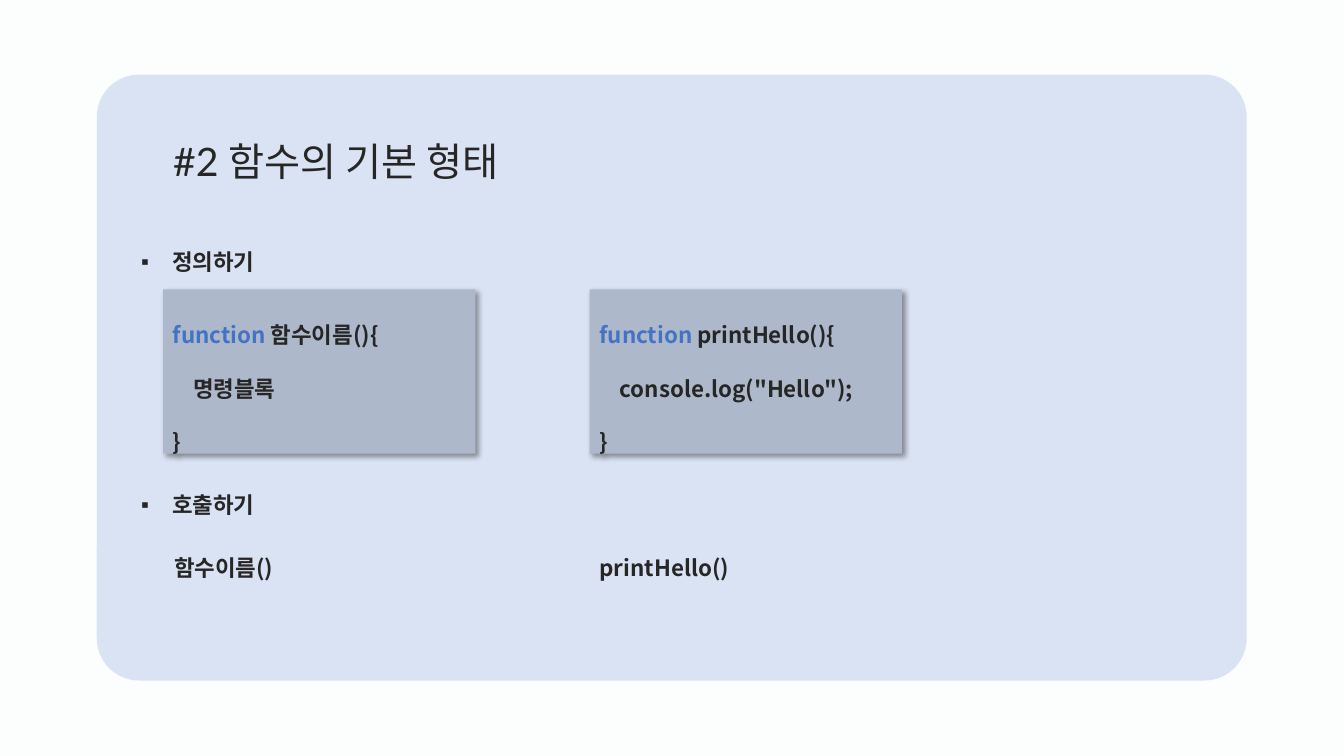
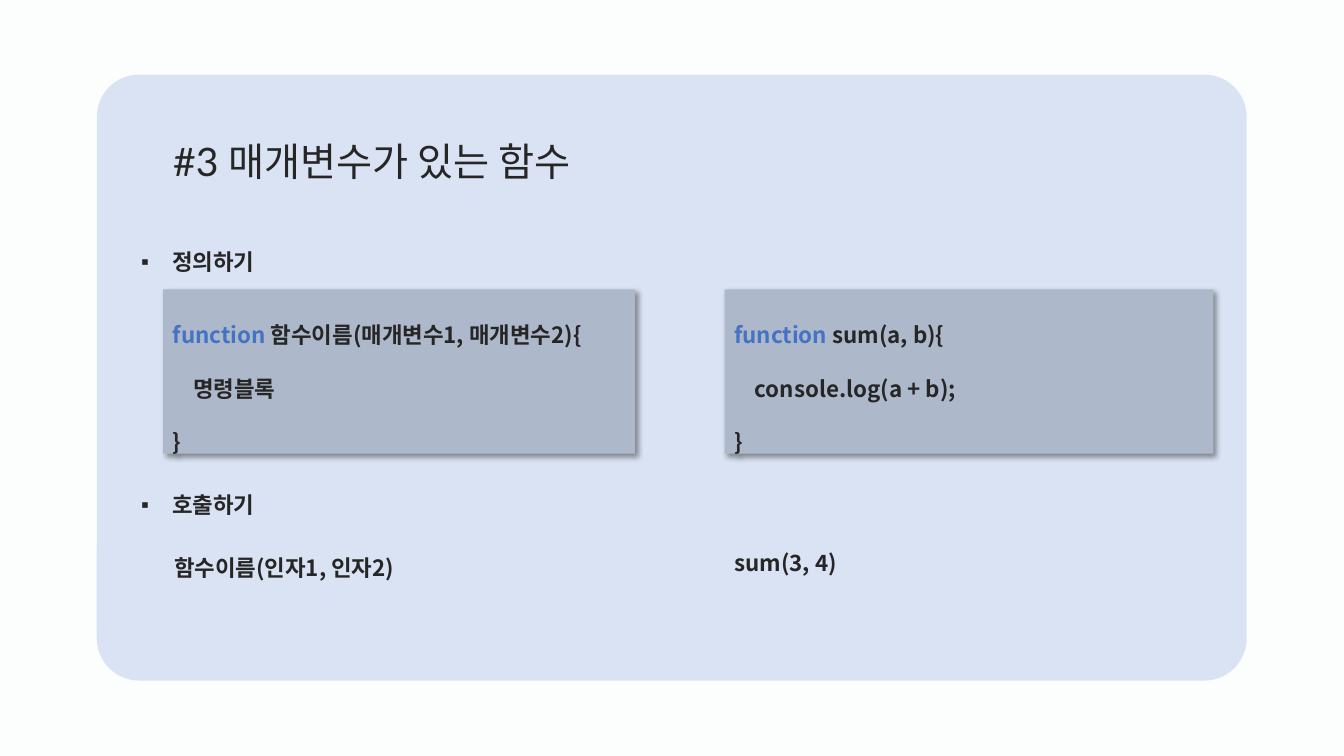
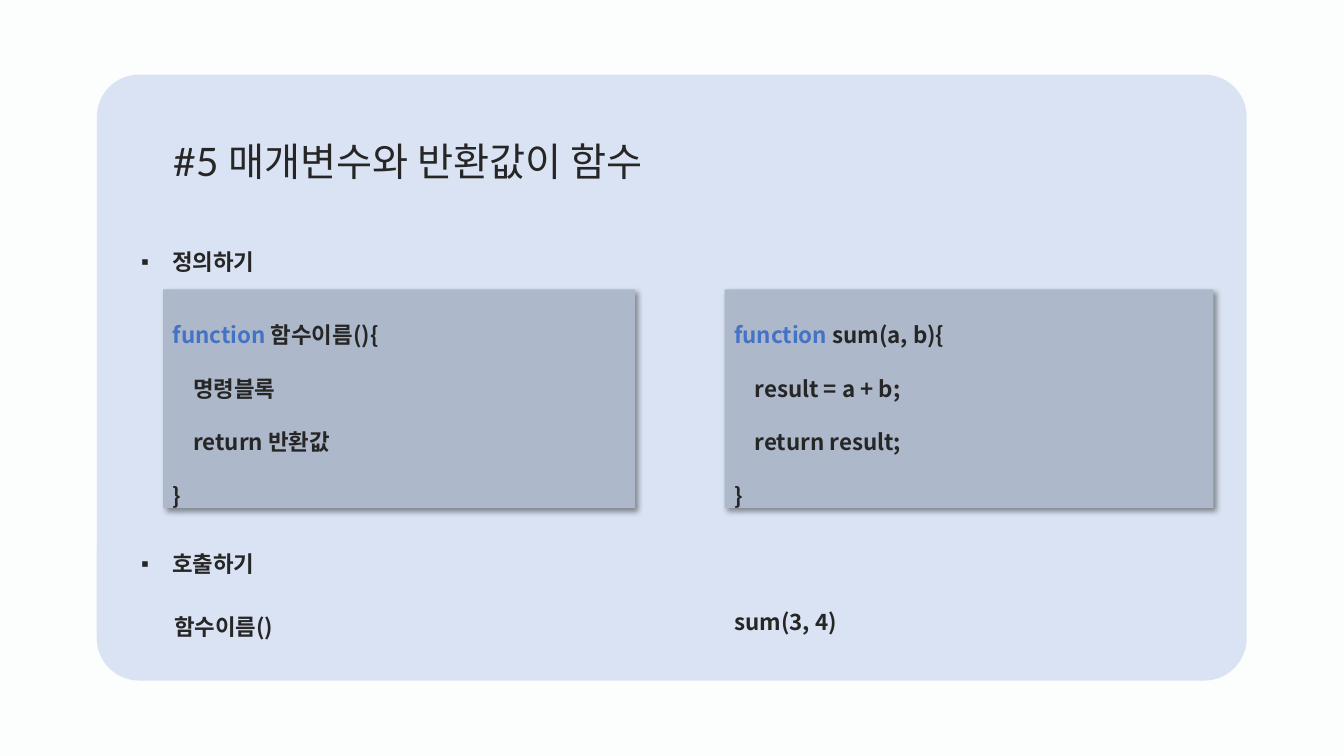
from lxml.etree import SubElement
from pptx import Presentation
from pptx.dml.color import RGBColor
from pptx.enum.shapes import MSO_SHAPE
from pptx.enum.text import MSO_ANCHOR, MSO_AUTO_SIZE, PP_ALIGN
from pptx.oxml.ns import qn
from pptx.util import Cm, Pt

BACKGROUND = "FCFDFD"
PANEL = "DAE3F3"
CODE_FILL = "ADB9CA"
INK = "262626"
KEYWORD_INK = "4472C4"
TITLE_FONT = "Lato"
TEXT_FONT = "Noto Sans CJK KR"
KEYWORD = "function"

SYNTAX_LEFT = 4.11
CODE_TOP = 7.29
LINE_HEIGHT = 1.37
HEADING_LEFT, HEADING_WIDTH, HEADING_HEIGHT = 3.3, 17.37, 1.4
CALL_WIDTH = 7.87
CALL_OFFSET = 1.58

TOPICS = [
    {
        "title": "#2 함수의 기본 형태",
        "syntax": ["function 함수이름(){", "    명령블록", "}"],
        "example": ["function printHello(){", '    console.log("Hello");', "}"],
        "calls": ("함수이름()", "printHello()"),
        "syntax_width": 7.87,
        "example_left": 14.86,
        "example_width": 7.87,
        "call_top": 11.58,
        "example_offset": CALL_OFFSET,
    },
    {
        "title": "#3 매개변수가 있는 함수",
        "syntax": ["function 함수이름(매개변수1, 매개변수2){", "    명령블록", "}"],
        "example": ["function sum(a, b){", "    console.log(a + b);", "}"],
        "calls": ("함수이름(인자1, 인자2)", "sum(3, 4)"),
        "syntax_width": 11.89,
        "example_left": 18.26,
        "example_width": 12.32,
        "call_top": 11.58,
        "example_offset": 1.46,
    },
    {
        "title": "#5 매개변수와 반환값이 함수",
        "syntax": ["function 함수이름(){", "    명령블록", "    return 반환값", "}"],
        "example": ["function sum(a, b){", "    result = a + b;", "    return result;", "}"],
        "calls": ("함수이름()", "sum(3, 4)"),
        "syntax_width": 11.89,
        "example_left": 18.26,
        "example_width": 12.32,
        "call_top": 13.06,
        "example_offset": 1.46,
    },
]


def paint(fill, color):
    fill.solid()
    fill.fore_color.rgb = RGBColor.from_string(color)


def place(shape, left, top, width, height):
    shape.left, shape.top = Cm(left), Cm(top)
    shape.width, shape.height = Cm(width), Cm(height)


def style_run(run, color=INK, size=16, bold=True, font=TEXT_FONT):
    run.font.size = Pt(size)
    run.font.bold = bold
    paint(run.font.fill, color)
    run.font.name = font
    SubElement(run._r.get_or_add_rPr(), qn("a:ea"), typeface=TEXT_FONT)


def prepare_frame(frame):
    frame.word_wrap = True
    frame.auto_size = MSO_AUTO_SIZE.SHAPE_TO_FIT_TEXT
    frame.vertical_anchor = MSO_ANCHOR.TOP


def space_lines(paragraph):
    paragraph.alignment = PP_ALIGN.LEFT
    paragraph.line_spacing = 2.0
    paragraph.space_before = Pt(0)


def add_panel(slide):
    panel = slide.shapes.add_shape(
        MSO_SHAPE.ROUNDED_RECTANGLE, Cm(2.44), Cm(1.88), Cm(28.98), Cm(15.27))
    panel.adjustments[0] = 0.07
    panel.shadow.inherit = False
    paint(panel.fill, PANEL)
    panel.line.fill.background()
    return panel


def prepare_layout(layout, panel):
    paint(layout.background.fill, BACKGROUND)
    layout.shapes.element.insert(2, panel.element)
    place(layout.placeholders[0], SYNTAX_LEFT, 3.33, 13.61, 1.45)


def fill_title(title, text):
    prepare_frame(title.text_frame)
    title.text_frame.text = text
    paragraph = title.text_frame.paragraphs[0]
    paragraph.alignment = PP_ALIGN.LEFT
    style_run(paragraph.runs[0], size=28, bold=False, font=TITLE_FONT)


def fill_heading(heading, text, top):
    place(heading, HEADING_LEFT, top, HEADING_WIDTH, HEADING_HEIGHT)
    prepare_frame(heading.text_frame)
    heading.text_frame.text = text
    paragraph = heading.text_frame.paragraphs[0]
    space_lines(paragraph)
    properties = paragraph._p.get_or_add_pPr()
    properties.set("marL", str(Cm(0.79)))
    properties.set("indent", str(-Cm(0.79)))
    SubElement(properties, qn("a:buChar"), char="▪")
    style_run(paragraph.runs[0])


def drop_shadow(shape):
    shape.shadow.inherit = False
    effects = shape.element.spPr.find(qn("a:effectLst"))
    shadow = SubElement(effects, qn("a:outerShdw"), blurRad=str(Pt(4)), dist=str(Pt(3)),
                        dir=str(45 * 60000), algn="tl", rotWithShape="0")
    color = SubElement(shadow, qn("a:srgbClr"), val="000000")
    SubElement(color, qn("a:alpha"), val="40000")


def write_code_line(paragraph, line):
    space_lines(paragraph)
    if line.startswith(KEYWORD):
        keyword, rest = paragraph.add_run(), paragraph.add_run()
        keyword.text, rest.text = KEYWORD, line[len(KEYWORD):]
        style_run(keyword, KEYWORD_INK)
        style_run(rest)
    else:
        paragraph.text = line
        style_run(paragraph.runs[0])


def add_code(slide, lines, left, width):
    code = slide.shapes.add_shape(
        MSO_SHAPE.RECTANGLE, Cm(left), Cm(CODE_TOP), Cm(width), Cm(LINE_HEIGHT * len(lines) + 0.03))
    paint(code.fill, CODE_FILL)
    code.line.fill.background()
    drop_shadow(code)
    frame = code.text_frame
    prepare_frame(frame)
    for number, line in enumerate(lines):
        write_code_line(frame.add_paragraph() if number else frame.paragraphs[0], line)


def add_call(slide, text, left, top):
    call = slide.shapes.add_textbox(Cm(left), Cm(top), Cm(CALL_WIDTH), Cm(HEADING_HEIGHT))
    prepare_frame(call.text_frame)
    call.text_frame.text = text
    paragraph = call.text_frame.paragraphs[0]
    space_lines(paragraph)
    style_run(paragraph.runs[0])


def fill_topic(slide, topic):
    title, definition, calling = slide.placeholders
    call_top, example_left = topic["call_top"], topic["example_left"]
    fill_title(title, topic["title"])
    fill_heading(definition, "정의하기", 5.46)
    add_code(slide, topic["syntax"], SYNTAX_LEFT, topic["syntax_width"])
    add_code(slide, topic["example"], example_left, topic["example_width"])
    fill_heading(calling, "호출하기", call_top)
    syntax_call, example_call = topic["calls"]
    add_call(slide, syntax_call, 4.14, call_top + CALL_OFFSET)
    add_call(slide, example_call, example_left, call_top + topic["example_offset"])


def main():
    deck = Presentation()
    deck.slide_width, deck.slide_height = Cm(33.87), Cm(19.05)
    layout = deck.slide_layouts[3]
    slides = [deck.slides.add_slide(layout) for _ in TOPICS]
    prepare_layout(layout, add_panel(slides[0]))
    for slide, topic in zip(slides, TOPICS):
        fill_topic(slide, topic)
    deck.save("out.pptx")


if __name__ == "__main__":
    main()
